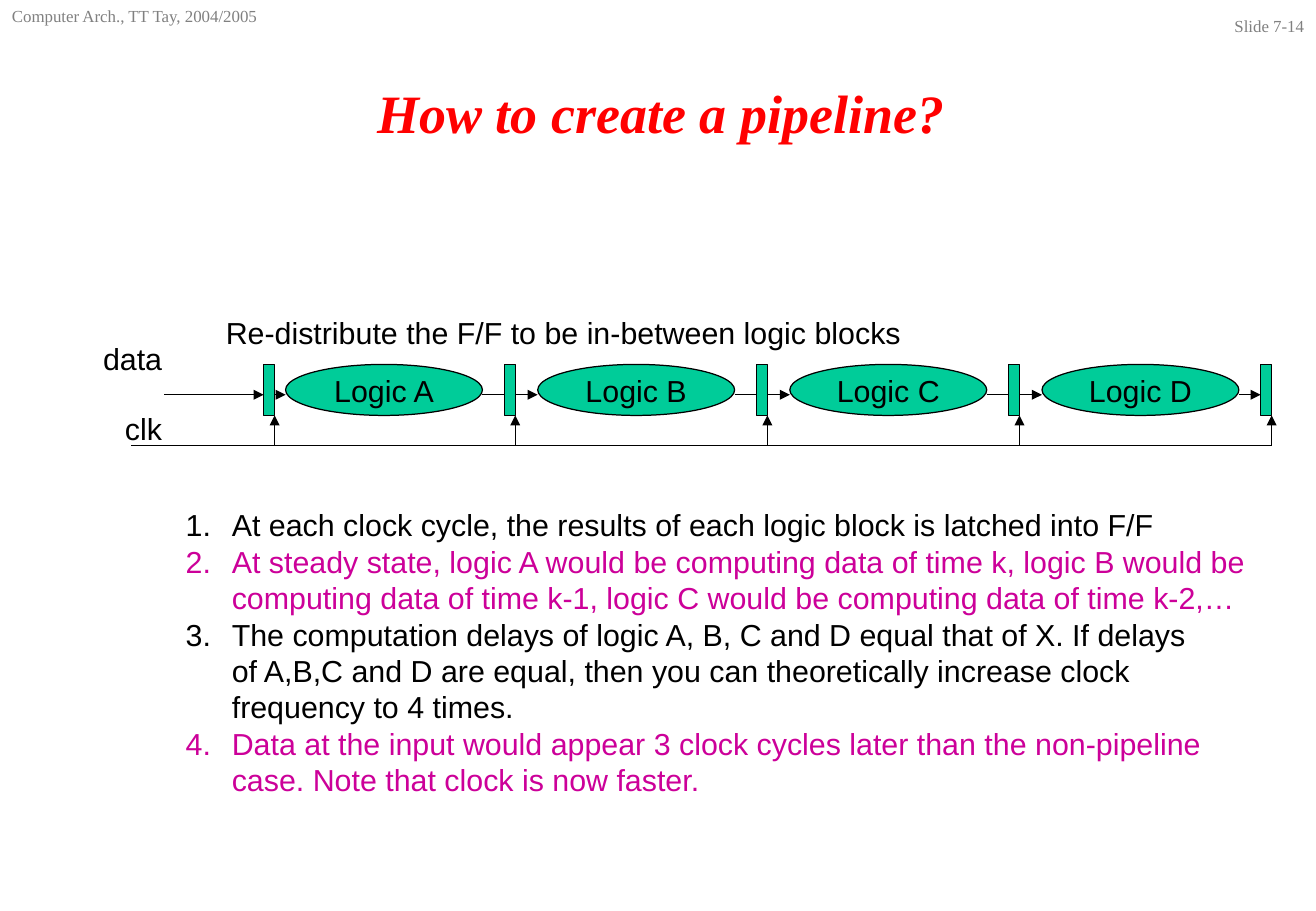
import pptx
import pptx.dml.color
import pptx.enum.shapes
import pptx.enum.text
import pptx.util
from lxml import etree

Inches = pptx.util.Inches
rgb = pptx.dml.color.RGBColor.from_string
ALIGN = pptx.enum.text.PP_ALIGN
ANCHOR = pptx.enum.text.MSO_ANCHOR
SHAPE = pptx.enum.shapes.MSO_SHAPE
A = "{http://schemas.openxmlformats.org/drawingml/2006/main}"
BLACK, GREEN, MAGENTA, GREY, RED = "000000", "00CC99", "CC0099", "808080", "FF0000"


def write(frame, lines, colors, align=ALIGN.LEFT, **font_format):
    """Write one paragraph per line, each in its own colour."""
    values = {"name": "Arial", "size": pptx.util.Pt(18), **font_format}
    for index, (line, color) in enumerate(zip(lines, colors)):
        paragraph = frame.paragraphs[0] if index == 0 else frame.add_paragraph()
        paragraph.text = line
        paragraph.alignment = align
        for run in paragraph.runs:
            for key, value in values.items():
                setattr(run.font, key, value)
            run.font.color.rgb = rgb(color)


def wire(x1, y1, x2, y2, arrow=True):
    line = slide.shapes.add_connector(
        pptx.enum.shapes.MSO_CONNECTOR.STRAIGHT,
        Inches(x1), Inches(y1), Inches(x2), Inches(y2))
    line.line.color.rgb = rgb(BLACK)
    line.line.width = pptx.util.Pt(0.75)
    if arrow:
        etree.SubElement(line.line._get_or_add_ln(), A + "tailEnd", type="triangle")
    etree.SubElement(line._element.spPr, A + "effectLst")


deck = pptx.Presentation()
deck.slide_width, deck.slide_height = Inches(10.83), Inches(7.5)
slide = deck.slides.add_slide(deck.slide_layouts[5])

# Title
title = slide.shapes.title
title.left, title.top = Inches(0.87), Inches(0.62)
title.width, title.height = Inches(9.14), Inches(0.6)
title.text_frame.vertical_anchor = ANCHOR.MIDDLE
write(title.text_frame, ["How to create a pipeline?"], [RED], ALIGN.CENTER,
      name="Times New Roman", size=pptx.util.Pt(32), bold=True, italic=True)

# Page header
for text, left, top, width, height, align in [
    ("Slide 7-14", 9.83, 0.08, 1, 0.25, ALIGN.RIGHT),
    ("Computer Arch., TT Tay, 2004/2005", 0, 0, 2.42, 0.33, ALIGN.LEFT),
]:
    header = slide.shapes.add_textbox(
        Inches(left), Inches(top), Inches(width), Inches(height))
    header.text_frame.word_wrap = True
    write(header.text_frame, [text], [GREY], align,
          name="Times New Roman", size=pptx.util.Pt(10))

# Pipeline geometry
block_top, block_height, logic_width, register_width = 3, 0.42, 1.62, 0.09
data_y, clock_y = 3.25, 3.67
pitch = 8.3 / 4
logic_lefts = [2.35 + pitch * i for i in range(4)]
register_lefts = [2.17] + [4.15 + pitch * i for i in range(4)]

# Data wires, drawn behind the flip-flops
wire(1.35, data_y, register_lefts[0], data_y)
wire(register_lefts[0] + register_width, data_y, logic_lefts[0], data_y)
for left, target in zip(logic_lefts, logic_lefts[1:] + register_lefts[-1:]):
    wire(left + logic_width, data_y, target, data_y)

# Logic blocks and flip-flops
blocks = [(SHAPE.OVAL, left, logic_width, f"Logic {letter}")
          for left, letter in zip(logic_lefts, "ABCD")]
blocks += [(SHAPE.RECTANGLE, left, register_width, "") for left in register_lefts]
for kind, left, width, label in blocks:
    block = slide.shapes.add_shape(
        kind, Inches(left), Inches(block_top), Inches(width), Inches(block_height))
    block.shadow.inherit = False
    block.fill.solid()
    block.fill.fore_color.rgb = rgb(GREEN)
    block.line.color.rgb = rgb(BLACK)
    block.line.width = pptx.util.Pt(0.75)
    if label:
        block.text_frame.word_wrap = False
        block.text_frame.vertical_anchor = ANCHOR.MIDDLE
        write(block.text_frame, [label], [BLACK], ALIGN.CENTER)

# Clock line with a branch to each flip-flop
wire(register_lefts[-1] + register_width, clock_y, 1.08, clock_y, arrow=False)
for left in register_lefts:
    wire(left + register_width, clock_y,
         left + register_width, block_top + block_height)

# Labels and numbered notes, with room to spare on the right
notes = [
    "At each clock cycle, the results of each logic block is latched into F/F",
    "At steady state, logic A would be computing data of time k, logic B would be\n"
    "computing data of time k-1, logic C would be computing data of time k-2,…",
    "The computation delays of logic A, B, C and D equal that of X. If delays\n"
    "of A,B,C and D are equal, then you can theoretically increase clock\n"
    "frequency to 4 times.",
    "Data at the input would appear 3 clock cycles later than the non-pipeline\n"
    "case. Note that clock is now faster.",
]
for lines, left, top, width, height in [
    (["data"], 0.75, 2.75, 0.8, 0.4),
    (["clk"], 0.93, 3.33, 0.62, 0.4),
    (["Re-distribute the F/F to be in-between logic blocks"], 1.76, 2.54, 5.9, 0.4),
    (notes, 1.43, 4.12, 9.1, 2.5),
]:
    box = slide.shapes.add_textbox(
        Inches(left), Inches(top), Inches(width), Inches(height))
    box.text_frame.word_wrap = True
    write(box.text_frame, lines, [BLACK, MAGENTA] * 2)

# Numbering belongs to the last box, the notes
for paragraph in box.text_frame.paragraphs:
    properties = paragraph._p.get_or_add_pPr()
    properties.set("marL", str(Inches(0.38)))
    properties.set("indent", str(-Inches(0.38)))
    etree.SubElement(properties, A + "buFont", typeface="Arial")
    etree.SubElement(properties, A + "buAutoNum", type="arabicPeriod")

deck.save("out.pptx")
